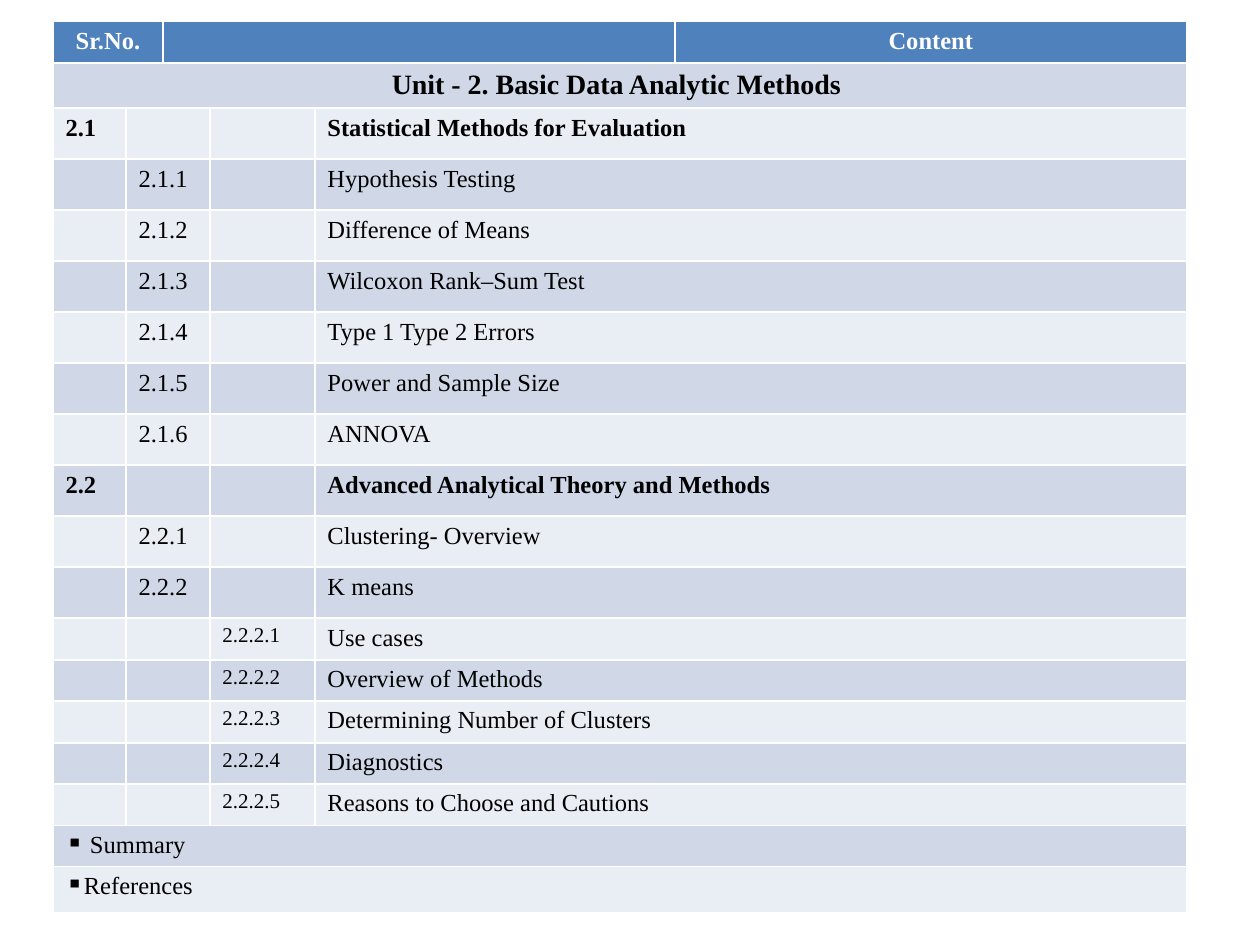
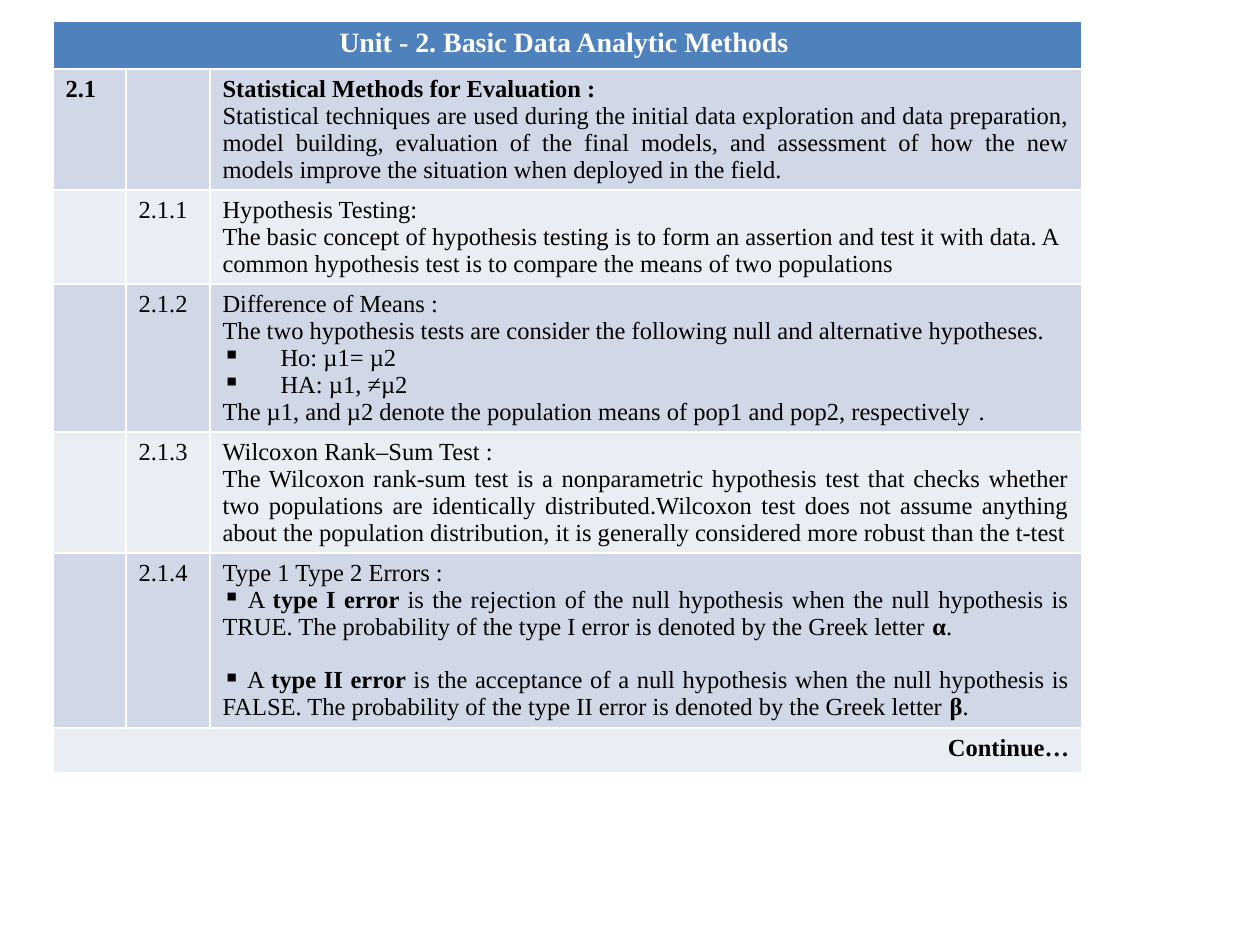
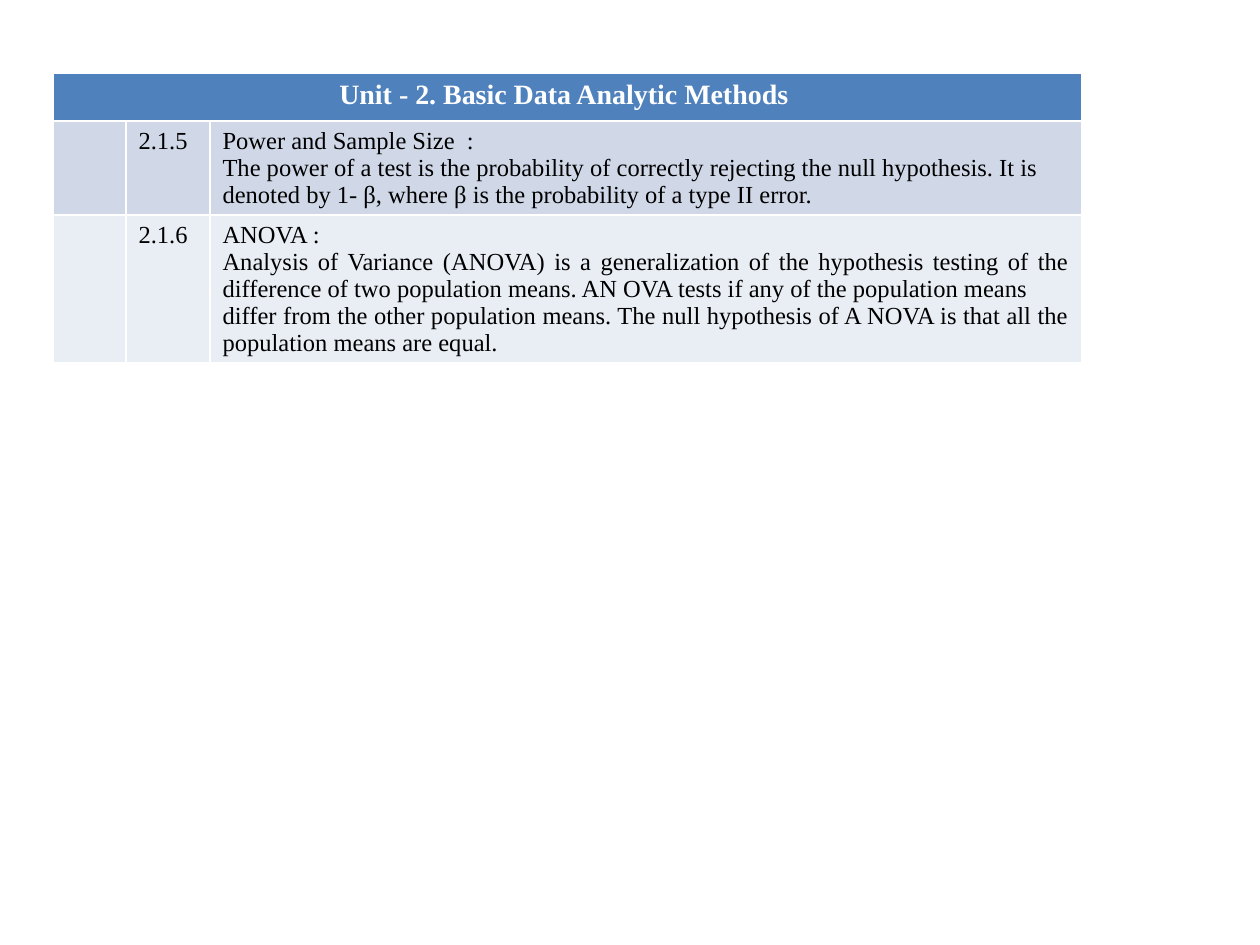
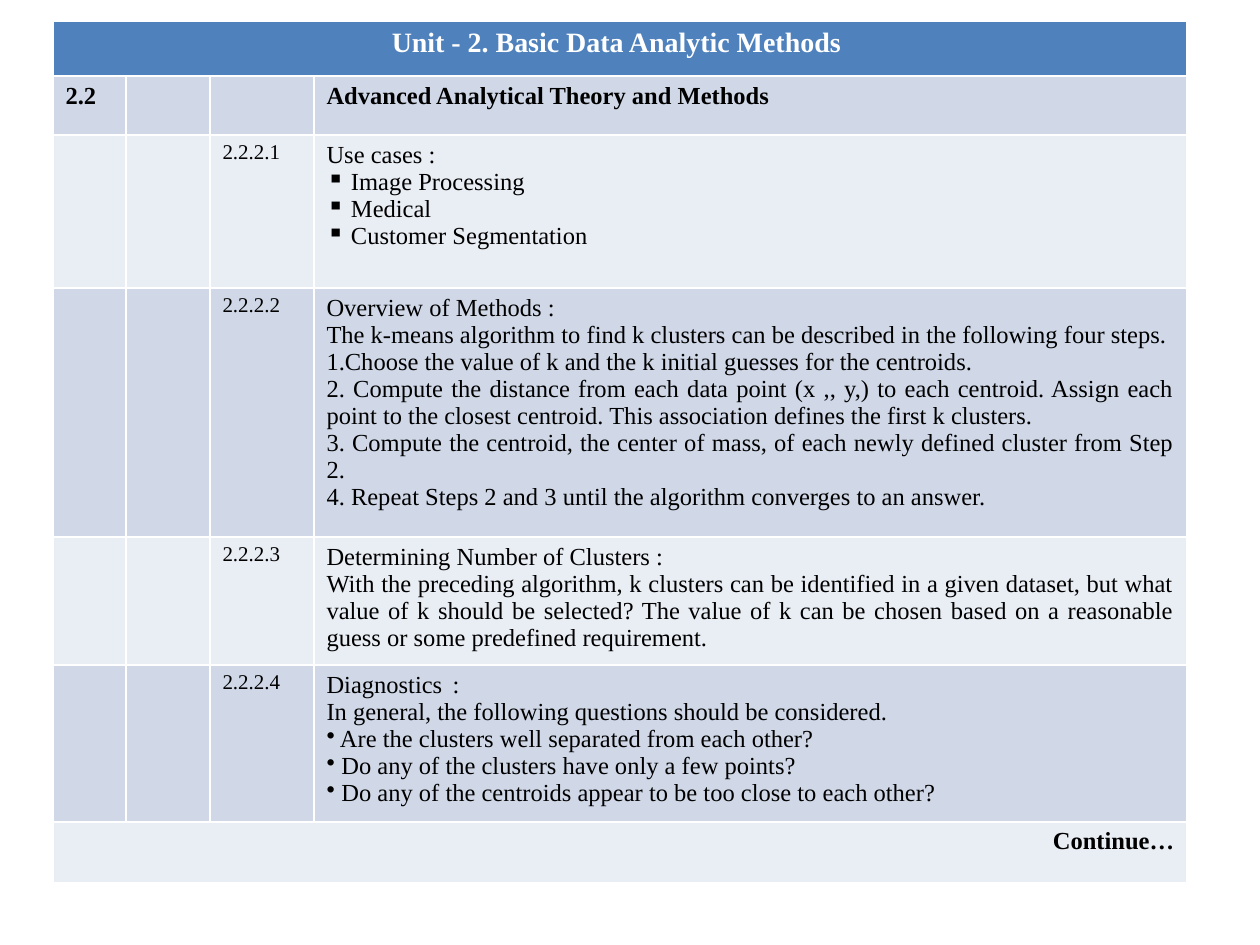
"""Build four slides of tables that outline the unit on basic data analytic methods."""
from typing import NamedTuple

from lxml import etree
from pptx import Presentation
from pptx.dml.color import RGBColor
from pptx.enum.text import PP_ALIGN
from pptx.oxml.ns import qn
from pptx.util import Emu, Pt

LEFT, CENTER = PP_ALIGN.LEFT, PP_ALIGN.CENTER
RIGHT, JUSTIFY = PP_ALIGN.RIGHT, PP_ALIGN.JUSTIFY

EMU_PER_PX = 914400 / 126
SLIDE_WIDTH, SLIDE_HEIGHT = 1260, 945
TABLE_LEFT, TABLE_TOP = 53, 21
FONT = "Times New Roman"
TITLE_SIZE, BODY_SIZE, SMALL_SIZE = 16, 14, 12
BOLD_MARK = "**"
COLORS = {
    "header": "4F81BD",
    "odd band": "D0D8E8",
    "even band": "E9EDF4",
    "header text": "FFFFFF",
    "body text": "000000",
}
UNIT_TITLE = "Unit - 2. Basic Data Analytic Methods "


class Line(NamedTuple):
    """One paragraph; text between bold marks is bold."""

    text: str
    size: int = BODY_SIZE
    bold: bool = False
    align: PP_ALIGN = LEFT
    bullet: str = ""
    margin: int = 0
    space_before: int = 0


class Row(NamedTuple):
    """One table row: its height, the columns each cell spans, and the cells' lines."""

    height: int
    spans: tuple[int, ...]
    cells: list[list[Line]]


class TableSlide(NamedTuple):
    """One slide with its table."""

    columns: tuple[int, ...]
    rows: list[Row]
    height: int
    top: int = TABLE_TOP


def px(length: int) -> Emu:
    """Turn pixels into EMU."""
    return Emu(round(length * EMU_PER_PX))


def square(text: str, align: PP_ALIGN = LEFT, margin: int = 0, space_before: int = 0) -> Line:
    """Make a line with a square bullet."""
    return Line(text, align=align, bullet="▪", margin=margin, space_before=space_before)


def full_row(height: int, columns: int, line: Line) -> Row:
    """Make a row of one cell across the table."""
    return Row(height, (columns,), [[line]])


def title_row(height: int, columns: int) -> Row:
    """Make the row with the unit's title."""
    return full_row(height, columns, Line(UNIT_TITLE, TITLE_SIZE, True, CENTER))


def continue_row(height: int, columns: int) -> Row:
    """Make the closing row that points to the next slide."""
    return full_row(height, columns, Line("Continue…", bold=True, align=RIGHT))


def topic_row(height: int, spans: tuple[int, ...], number: str, *lines: Line) -> Row:
    """Make a row whose number stands in the column of its level."""
    level = number.count(".") - 1
    size = SMALL_SIZE if level == 2 else BODY_SIZE
    cells: list[list[Line]] = [[] for _ in spans]
    cells[level] = [Line(number, size, bold=level == 0)]
    cells[-1] = list(lines)
    return Row(height, spans, cells)


def write_line(paragraph, line: Line, color: str) -> None:
    """Write one line into a paragraph."""
    paragraph.alignment = line.align
    font = paragraph.font
    font.name, font.size, font.bold = FONT, Pt(line.size), line.bold
    font.color.rgb = RGBColor.from_string(color)
    if line.space_before:
        paragraph.space_before = Pt(line.space_before)
    properties = paragraph._p.get_or_add_pPr()
    if line.margin:
        properties.set("marL", str(px(line.margin)))
        properties.set("indent", str(-px(line.margin)))
    if line.bullet:
        bullet = etree.Element(qn("a:buChar"), char=line.bullet)
        properties.find(qn("a:defRPr")).addprevious(bullet)
    for index, part in enumerate(line.text.split(BOLD_MARK)):
        if part:
            run = paragraph.add_run()
            run.text = part
            if index % 2:
                run.font.bold = True
    if not line.text:
        etree.SubElement(paragraph._p, qn("a:endParaRPr"), sz=str(line.size * 100))


def fill_cell(cell, lines: list[Line], fill: str, color: str) -> None:
    """Colour a cell and write its lines."""
    cell.fill.solid()
    cell.fill.fore_color.rgb = RGBColor.from_string(fill)
    frame = cell.text_frame
    for index, line in enumerate(lines or [Line("")]):
        paragraph = frame.add_paragraph() if index else frame.paragraphs[0]
        write_line(paragraph, line, color)


def draw_row(table, index: int, row: Row) -> None:
    """Draw one row with its merged cells and band colour."""
    table.rows[index].height = px(row.height)
    band = "header" if index == 0 else "odd band" if index % 2 else "even band"
    color = COLORS["header text" if index == 0 else "body text"]
    column = 0
    for span, lines in zip(row.spans, row.cells):
        cell = table.cell(index, column)
        if span > 1:
            cell.merge(table.cell(index, column + span - 1))
        for offset in range(span):
            content = [] if offset else lines
            fill_cell(table.cell(index, column + offset), content, COLORS[band], color)
        column += span


def draw_slide(presentation, content: TableSlide) -> None:
    """Add a blank slide and draw its table."""
    slide = presentation.slides.add_slide(presentation.slide_layouts[6])
    shape = slide.shapes.add_table(
        len(content.rows), len(content.columns), px(TABLE_LEFT), px(content.top),
        px(sum(content.columns)), px(content.height),
    )
    for column, width in zip(shape.table.columns, content.columns):
        column.width = px(width)
    for index, row in enumerate(content.rows):
        draw_row(shape.table, index, row)
    shape.height = px(content.height)


def contents_slide() -> TableSlide:
    """Describe the table of contents."""
    columns = (73, 37, 47, 105, 360, 512)
    spans = (1, 2, 1, 2)
    topics = [
        ("2.1", "Statistical Methods for Evaluation"),
        ("2.1.1", "Hypothesis Testing"),
        ("2.1.2", "Difference of Means"),
        ("2.1.3", "Wilcoxon Rank–Sum Test"),
        ("2.1.4", "Type 1 Type 2 Errors"),
        ("2.1.5", "Power and Sample Size"),
        ("2.1.6", "ANNOVA"),
        ("2.2", "Advanced Analytical Theory and Methods"),
        ("2.2.1", "Clustering- Overview"),
        ("2.2.2", "K means"),
        ("2.2.2.1", "Use cases"),
        ("2.2.2.2", "Overview of Methods"),
        ("2.2.2.3", "Determining Number of Clusters"),
        ("2.2.2.4", "Diagnostics"),
        ("2.2.2.5", "Reasons to Choose and Cautions"),
    ]
    heights = [51] * 10 + [42, 41, 42, 41, 42]
    header = [[Line("Sr.No.", bold=True, align=CENTER)], [],
              [Line("Content", bold=True, align=CENTER)]]
    rows = [Row(42, (2, 3, 1), header), title_row(45, len(columns))]
    rows += [
        topic_row(height, spans, number, Line(text, bold=number.count(".") == 1))
        for height, (number, text) in zip(heights, topics)
    ]
    rows += [
        full_row(41, len(columns), square(" Summary")),
        full_row(46, len(columns), square("References")),
    ]
    return TableSlide(columns, rows, 891)


STATISTICS_COLUMNS = (73, 84, 872)
STATISTICS_SPANS = (1, 1, 1)


def statistics_slide() -> TableSlide:
    """Describe the first statistical methods."""
    spans = STATISTICS_SPANS
    rows = [
        title_row(48, 3),
        topic_row(
            120, spans, "2.1",
            Line("Statistical Methods for Evaluation :", bold=True),
            Line("Statistical techniques are used during the initial data exploration and data "
                 "preparation, model building, evaluation of the final models, and assessment of "
                 "how the new models improve the situation when deployed in the field.",
                 align=JUSTIFY),
        ),
        topic_row(
            94, spans, "2.1.1",
            Line("Hypothesis Testing:"),
            Line("The basic concept of hypothesis testing is to form an assertion and test it "
                 "with data. A common hypothesis test is to compare the means of two populations"),
        ),
        topic_row(
            148, spans, "2.1.2",
            Line("Difference of Means :"),
            Line("The two hypothesis tests are consider the following null and alternative "
                 "hypotheses."),
            square("Ho: µ1= µ2", margin=58),
            square("HA: µ1, ≠µ2", margin=58),
            Line("The µ1, and µ2 denote the population means of pop1 and pop2, respectively\t."),
        ),
        topic_row(
            121, spans, "2.1.3",
            Line("Wilcoxon Rank–Sum Test :", align=JUSTIFY),
            Line("The Wilcoxon rank-sum test is a nonparametric hypothesis test that checks "
                 "whether two populations are identically distributed.Wilcoxon test does not "
                 "assume anything about the population distribution, it is generally considered "
                 "more robust than the t-test", align=JUSTIFY),
        ),
        topic_row(
            175, spans, "2.1.4",
            Line("Type 1 Type 2 Errors :"),
            square(" A **type I error **is the rejection of the null hypothesis when the null "
                   "hypothesis is TRUE. The probability of the type I error is denoted by the "
                   "Greek letter **α**.", JUSTIFY),
            square(" A **type II error **is the acceptance of a null hypothesis when the null "
                   "hypothesis is FALSE. The probability of the type II error is denoted by the "
                   "Greek letter **β**.", JUSTIFY, space_before=15),
        ),
        continue_row(45, 3),
    ]
    return TableSlide(STATISTICS_COLUMNS, rows, 803)


def variance_slide() -> TableSlide:
    """Describe power, sample size and the analysis of variance."""
    rows = [
        title_row(48, 3),
        topic_row(
            94, STATISTICS_SPANS, "2.1.5",
            Line("Power and Sample Size  :"),
            Line("The power of a test is the probability of correctly rejecting the null "
                 "hypothesis. It is denoted by 1- β, where β is the probability of a type II "
                 "error."),
        ),
        topic_row(
            148, STATISTICS_SPANS, "2.1.6",
            Line("ANOVA :"),
            Line("Analysis of Variance (ANOVA) is a generalization of the hypothesis testing of "
                 "the difference of two population means. AN OVA tests if any of the population "
                 "means", align=JUSTIFY),
            Line("differ from the other population means. The null hypothesis of A NOVA is that "
                 "all the population means are equal.", align=JUSTIFY),
        ),
    ]
    return TableSlide(STATISTICS_COLUMNS, rows, 307, top=73)


def clustering_slide() -> TableSlide:
    """Describe the clustering methods."""
    spans = (1, 1, 1, 1)
    rows = [
        title_row(55, 4),
        topic_row(59, spans, "2.2", Line("Advanced Analytical Theory and Methods", bold=True)),
        topic_row(
            153, spans, "2.2.2.1",
            Line("Use cases :"),
            square(" Image Processing"),
            square(" Medical"),
            square(" Customer Segmentation"),
        ),
        topic_row(
            249, spans, "2.2.2.2",
            Line("Overview of Methods :", align=JUSTIFY),
            Line("The k-means algorithm to find k clusters can be described in the following "
                 "four steps.", align=JUSTIFY),
            Line("1.Choose the value of k and the k initial guesses for the centroids.",
                 align=JUSTIFY, margin=48),
            Line("2. Compute the distance from each data point (x ,, y,) to each centroid. "
                 "Assign each point to the closest centroid. This association defines the first "
                 "k clusters.", align=JUSTIFY),
            Line("3. Compute the centroid, the center of mass, of each newly defined cluster "
                 "from Step 2.", align=JUSTIFY),
            Line("4. Repeat Steps 2 and 3 until the algorithm converges to an answer.",
                 align=JUSTIFY),
        ),
        topic_row(
            128, spans, "2.2.2.3",
            Line("Determining Number of Clusters :", align=JUSTIFY),
            Line("With the preceding algorithm, k clusters can be identified in a given dataset, "
                 "but what value of k should be selected? The value of k can be chosen based on "
                 "a reasonable guess or some predefined requirement.", align=JUSTIFY),
        ),
        topic_row(
            157, spans, "2.2.2.4",
            Line("Diagnostics \t:"),
            Line("In general, the following questions should be considered."),
            Line(" Are the clusters well separated from each other?", bullet="•"),
            Line(" Do any of the clusters have only a few points?", bullet="•"),
            Line(" Do any of the centroids appear to be too close to each other?", bullet="•"),
        ),
        continue_row(61, 4),
    ]
    return TableSlide((73, 84, 104, 873), rows, 866)


def main() -> None:
    """Build and save the presentation."""
    presentation = Presentation()
    presentation.slide_width = px(SLIDE_WIDTH)
    presentation.slide_height = px(SLIDE_HEIGHT)
    for content in (contents_slide(), statistics_slide(), variance_slide(), clustering_slide()):
        draw_slide(presentation, content)
    presentation.save("out.pptx")


if __name__ == "__main__":
    main()
